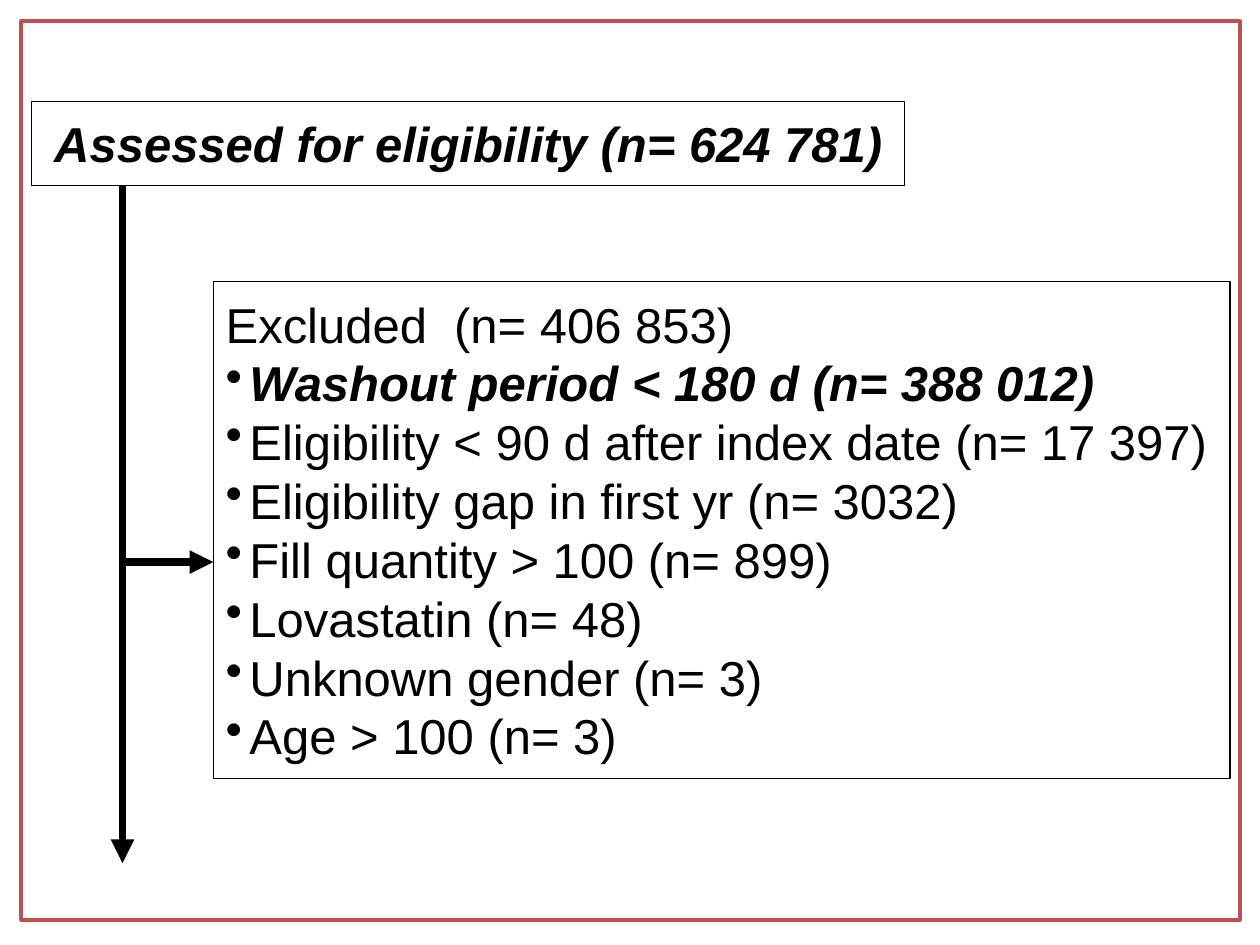
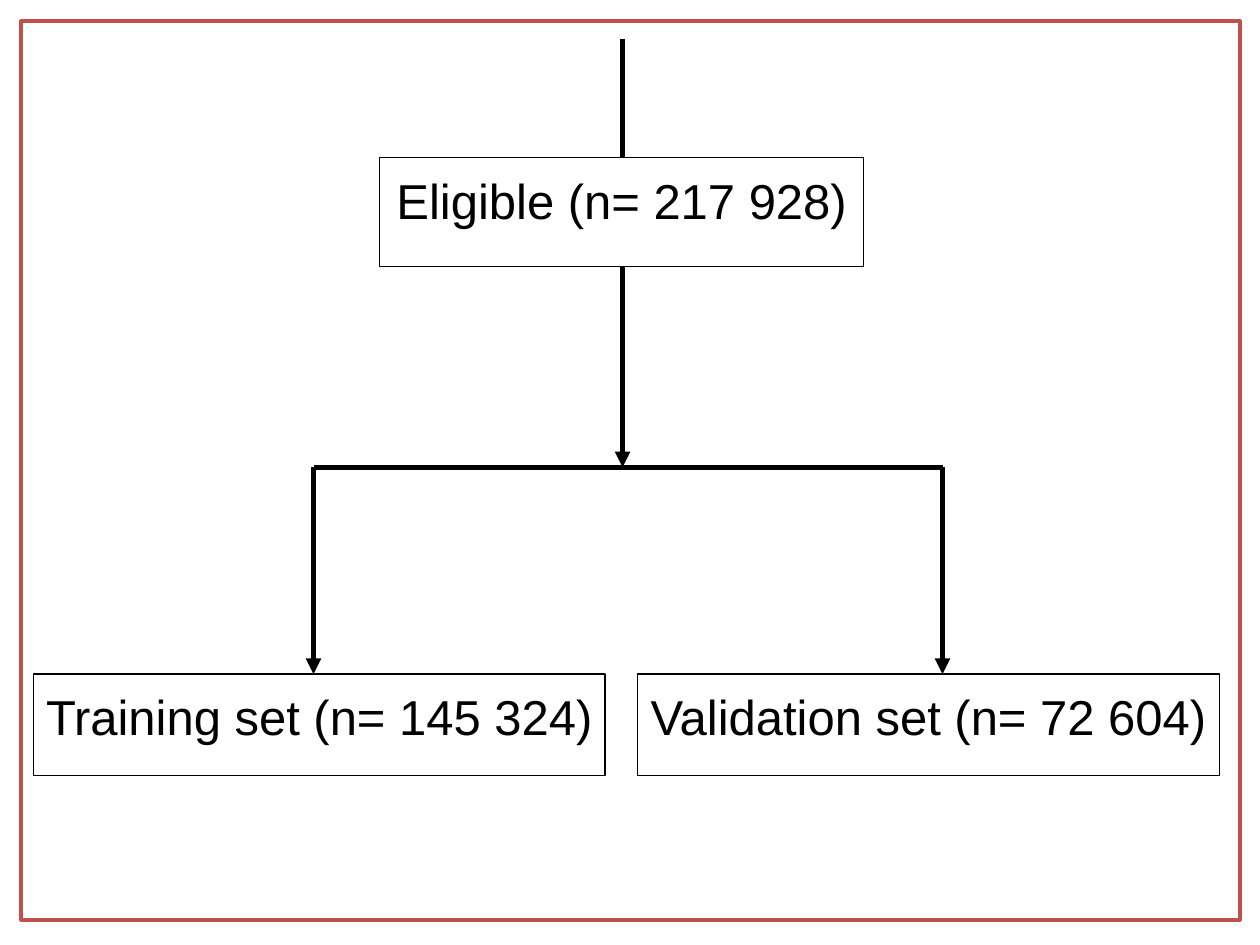
import dataclasses

import lxml.etree
import pptx
import pptx.dml.color
import pptx.enum.shapes
import pptx.enum.text
import pptx.oxml.ns
import pptx.util

Cm = pptx.util.Cm
Pt = pptx.util.Pt
qn = pptx.oxml.ns.qn
ALIGN = pptx.enum.text.PP_ALIGN

COLORS = {"paper": "FFFFFF", "ink": "000000", "frame": "C0504D"}
FONT = "Arial"
TEXT_SIZE = 28
INSET = 0.25
BULLET_INDENT = 0.48

EXCLUSIONS = [
    "Washout period < 180 d (n= 388 012)",
    "Eligibility < 90 d after index date (n= 17 397)",
    "Eligibility gap in first yr (n= 3032)",
    "Fill quantity > 100 (n= 899)",
    "Lovastatin (n= 48)",
    "Unknown gender (n= 3)",
    "Age > 100 (n= 3)",
]


@dataclasses.dataclass
class Box:
    """A rectangle in centimetres."""
    left: float
    top: float
    width: float
    height: float

    @property
    def bottom(self):
        return self.top + self.height

    def inner(self, left, top, width, height):
        """Return a box placed relative to this one."""
        return Box(self.left + left, self.top + top, width, height)


FRAME = Box(0.43, 0.43, 24.56, 18.11)


def rgb(name):
    return pptx.dml.color.RGBColor.from_string(COLORS[name])


def add_panel(page, box, line_color="ink", line_width=0.75):
    panel = page.shapes.add_shape(
        pptx.enum.shapes.MSO_SHAPE.RECTANGLE,
        Cm(box.left), Cm(box.top), Cm(box.width), Cm(box.height))
    panel.shadow.inherit = False
    panel.fill.solid()
    panel.fill.fore_color.rgb = rgb("paper")
    panel.line.color.rgb = rgb(line_color)
    panel.line.width = Pt(line_width)
    return panel


def add_bullet(para):
    properties = para._p.get_or_add_pPr()
    properties.set("marL", str(Cm(BULLET_INDENT)))
    properties.set("indent", str(-Cm(BULLET_INDENT)))
    lxml.etree.SubElement(properties, qn("a:buChar"), char="•")


def add_text_panel(page, box, lines, align=ALIGN.CENTER, strong=None):
    """Add a panel whose first line is plain and whose other lines are bulleted.

    The line numbered strong is bold italic.
    """
    frame = add_panel(page, box).text_frame
    frame.word_wrap = True
    frame.vertical_anchor = pptx.enum.text.MSO_ANCHOR.TOP
    frame.margin_left = frame.margin_right = Cm(INSET)
    frame.margin_top = frame.margin_bottom = Cm(INSET)
    for number, line in enumerate(lines):
        para = frame.add_paragraph() if number else frame.paragraphs[0]
        para.text = line
        para.alignment = align
        para.font.name = FONT
        para.font.size = Pt(TEXT_SIZE)
        para.font.color.rgb = rgb("ink")
        para.font.bold = para.font.italic = number == strong
        if number:
            add_bullet(para)


def add_line(page, start, end, width, arrow=True):
    line = page.shapes.add_connector(
        pptx.enum.shapes.MSO_CONNECTOR.STRAIGHT,
        *(Cm(length) for length in start + end))
    line.line.color.rgb = rgb("ink")
    line.line.width = Pt(width)
    if arrow:
        lxml.etree.SubElement(line.line._get_or_add_ln(), qn("a:tailEnd"),
                              type="triangle")
    lxml.etree.SubElement(line._element.spPr, qn("a:effectLst"))


def add_framed_page(deck):
    page = deck.slides.add_slide(deck.slide_layouts[6])
    add_panel(page, FRAME, "frame", 2.25)
    return page


def draw_exclusions(page, box):
    assessed = box.inner(0.21, 1.61, 17.6, 1.7)
    excluded = box.inner(3.87, 5.25, 20.5, 10.01)
    spine = box.left + 2.04
    branch = excluded.top + 5.65
    weight = 4.5

    add_text_panel(page, assessed, ["Assessed for eligibility (n= 624 781)"],
                   strong=0)
    add_line(page, (spine, assessed.bottom), (spine, box.top + 16.97), weight)
    add_line(page, (spine, branch), (excluded.left, branch), weight)
    add_text_panel(page, excluded, ["Excluded  (n= 406 853)"] + EXCLUSIONS,
                   ALIGN.LEFT, strong=1)


def draw_split(page, box):
    eligible = box.inner(7.22, 2.75, 9.76, 2.19)
    training = box.inner(0.24, 13.16, 11.53, 2.04)
    validation = box.inner(12.42, 13.16, 11.73, 2.04)
    stem = box.left + 12.12
    fork = box.top + 8.99
    drops = [box.left + 5.89, box.left + 18.57]
    weight = 3

    add_line(page, (stem, box.top + 0.35), (stem, fork), weight)
    add_text_panel(page, eligible, ["Eligible (n= 217 928)"])
    add_line(page, (drops[0], fork), (drops[1], fork), weight, arrow=False)
    for drop in drops:
        add_line(page, (drop, fork), (drop, training.top), weight)
    add_text_panel(page, training, ["Training set (n= 145 324)"])
    add_text_panel(page, validation, ["Validation set (n= 72 604)"])


def main():
    deck = pptx.Presentation()
    deck.slide_width = Cm(25.4)
    deck.slide_height = Cm(19.05)
    for draw in (draw_exclusions, draw_split):
        draw(add_framed_page(deck), FRAME)
    deck.save("out.pptx")


if __name__ == "__main__":
    main()
